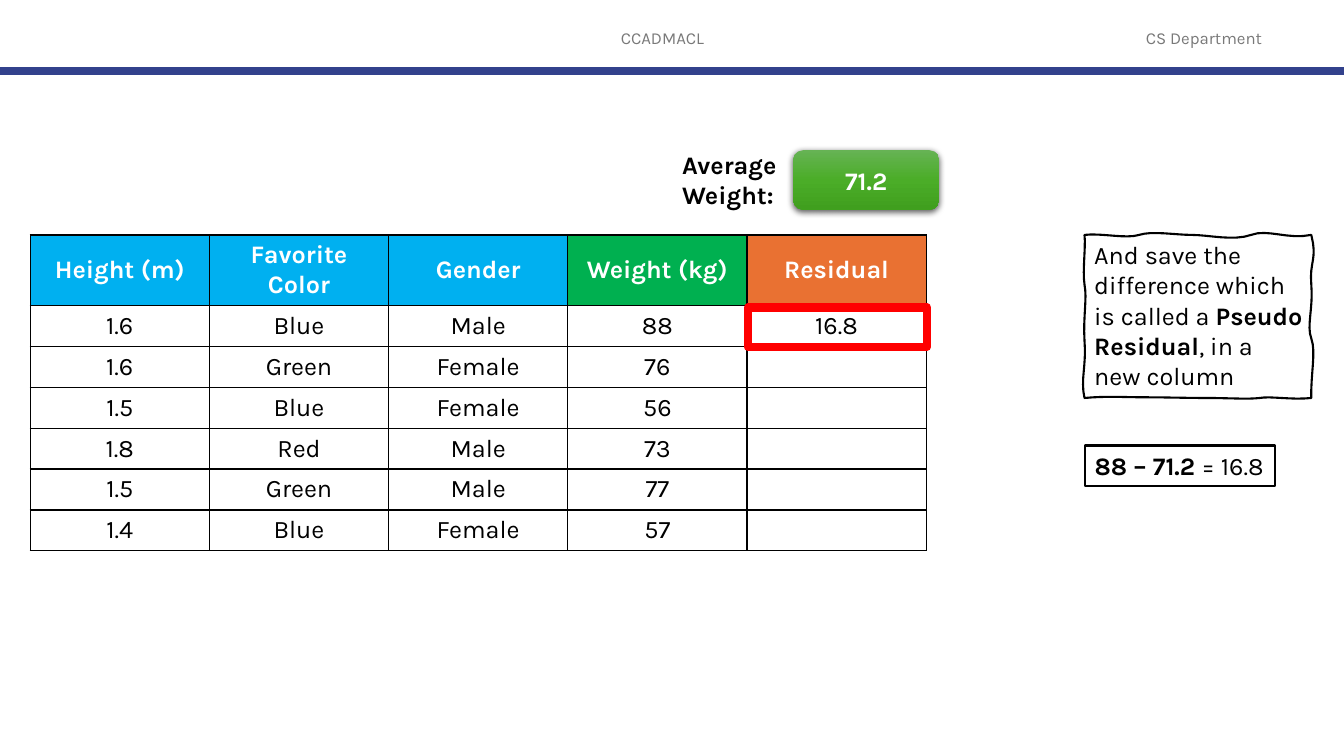
from lxml import etree
from pptx import Presentation
from pptx.dml.color import RGBColor
from pptx.enum.shapes import MSO_CONNECTOR, MSO_SHAPE
from pptx.enum.text import MSO_ANCHOR, PP_ALIGN
from pptx.oxml import parse_xml
from pptx.oxml.ns import qn
from pptx.util import Pt

LEFT, CENTER = PP_ALIGN.LEFT, PP_ALIGN.CENTER
TOP, MIDDLE = MSO_ANCHOR.TOP, MSO_ANCHOR.MIDDLE
STRAIGHT = MSO_CONNECTOR.STRAIGHT
RECTANGLE, ROUNDED = MSO_SHAPE.RECTANGLE, MSO_SHAPE.ROUNDED_RECTANGLE
DRAWING = 'xmlns:a="http://schemas.openxmlformats.org/drawingml/2006/main"'
COLORS = {
    "black": "000000", "white": "FFFFFF", "grey": "797979", "navy": "32418C",
    "blue": "00B0F0", "green": "00B050", "orange": "E97132", "red": "FF0000",
    "badge_top": "66B354", "badge_middle": "4BAD28", "badge_bottom": "409F1E",
}


def color(name):
    return RGBColor.from_string(COLORS[name])


def write(frame, runs, ink="black", size=18, align=LEFT, anchor=TOP):
    frame.word_wrap = True
    frame.vertical_anchor = anchor
    para = frame.paragraphs[0]
    para.alignment = align
    for text, bold in runs:
        span = para.add_run()
        span.text = text
        span.font.name = "Karla"
        span.font.size = Pt(size)
        span.font.bold = bold
        span.font.color.rgb = color(ink)


deck = Presentation()
deck.slide_width, deck.slide_height = Pt(960), Pt(540)
page = deck.slides.add_slide(deck.slide_layouts[6])

for text, left, width, right_margin in [
    ("CCADMACL", 318, 324, 20.6),
    ("CS Department", 786.2, 147.6, 7.2),
]:
    box = page.shapes.add_textbox(Pt(left), Pt(12.4), Pt(width), Pt(28.8))
    box.text_frame.margin_right = Pt(right_margin)
    write(box.text_frame, [(text, False)], "grey", 12, CENTER, MIDDLE)

rule = page.shapes.add_connector(STRAIGHT, Pt(0), Pt(50.6), Pt(960), Pt(50.6))
rule.line.color.rgb = color("navy")
rule.line.width = Pt(6)
etree.SubElement(rule._element.spPr, qn("a:effectLst"))

ROWS = [
    ["Height (m)", "Favorite Color", "Gender", "Weight (kg)", "Residual"],
    ["1.6", "Blue", "Male", "88", "16.8"],
    ["1.6", "Green", "Female", "76", ""],
    ["1.5", "Blue", "Female", "56", ""],
    ["1.8", "Red", "Male", "73", ""],
    ["1.5", "Green", "Male", "77", ""],
    ["1.4", "Blue", "Female", "57", ""],
]
HEADER_FILLS = ["blue", "blue", "blue", "green", "orange"]
table = page.shapes.add_table(
    len(ROWS), len(HEADER_FILLS), Pt(21.6), Pt(167.8), Pt(640), Pt(224.6)
).table
table.first_row = table.horz_banding = False
for column in table.columns:
    column.width = Pt(128)
for row_index, texts in enumerate(ROWS):
    is_header = row_index == 0
    table.rows[row_index].height = Pt(49.4 if is_header else 29.2)
    for column_index, text in enumerate(texts):
        cell = table.cell(row_index, column_index)
        cell.vertical_anchor = MIDDLE
        properties = cell._tc.get_or_add_tcPr()
        for side in "LRTB":
            properties.append(parse_xml(
                f'<a:ln{side} {DRAWING} w="12700"><a:solidFill>'
                f'<a:srgbClr val="{COLORS["black"]}"/></a:solidFill></a:ln{side}>'
            ))
        if is_header:
            cell.fill.solid()
            cell.fill.fore_color.rgb = color(HEADER_FILLS[column_index])
        else:
            cell.fill.background()
        if text:
            ink = "white" if is_header else "black"
            write(cell.text_frame, [(text, is_header)], ink, 18, CENTER, MIDDLE)

NOTE_LEFT, NOTE_TOP = 774.7, 167.8
NOTE_CURVES = [
    [(12, -1.5), (30, 3), (39, 0)],
    [(48, -3), (65, 0), (76.5, 0)],
    [(88.5, 0), (106.5, 4.5), (119, 0)],
    [(130.5, -4.5), (145.5, 3.5), (162, 0)],
    [(166.5, 17.5), (160.5, 19), (162, 35.5)],
    [(163.5, 52), (158.5, 65), (162, 74)],
    [(165.5, 83.5), (161.5, 99.5), (162, 116.5)],
    [(147.5, 118), (133, 115), (125, 116.5)],
    [(116.5, 117.5), (103, 116.5), (88, 116.5)],
    [(72, 116.5), (58.5, 116), (44, 116)],
    [(29.5, 116), (15, 115), (0, 116.5)],
    [(-3, 103), (1.5, 93.5), (0, 75.5)],
    [(-1, 57), (2, 46), (0, 35.5)],
    [(-1.5, 24.5), (1, 9.5), (0, 0)],
]
STEPS = 8
outline = []
start = (0, 0)
for first, second, end in NOTE_CURVES:
    for step in range(1, STEPS + 1):
        t = step / STEPS
        x, y = [
            a * (1 - t) ** 3 + 3 * b * t * (1 - t) ** 2 + 3 * c * t ** 2 * (1 - t) + d * t ** 3
            for a, b, c, d in zip(start, first, second, end)
        ]
        outline.append((Pt(NOTE_LEFT + x), Pt(NOTE_TOP + y)))
    start = end
builder = page.shapes.build_freeform(Pt(NOTE_LEFT), Pt(NOTE_TOP))
builder.add_line_segments(outline, close=True)
note = builder.convert_to_shape()
note.text_frame.margin_top = Pt(4.6)
note.text_frame.margin_left = Pt(8)
write(note.text_frame, [
    ("And save the difference which is called a ", False),
    ("Pseudo Residual", True),
    (", in a new column", False),
])

highlight = page.shapes.add_shape(RECTANGLE, Pt(534.2), Pt(219.6), Pt(128), Pt(28.1))

equation = page.shapes.add_shape(RECTANGLE, Pt(774.7), Pt(318.2), Pt(136.1), Pt(29))
write(equation.text_frame, [("88 – 71.2 ", True), ("= 16.8", False)])

for shape, line_color, line_width in [
    (note, "black", 1.5), (highlight, "red", 6), (equation, "black", 1.5),
]:
    shape.shadow.inherit = False
    shape.fill.background()
    shape.line.color.rgb = color(line_color)
    shape.line.width = Pt(line_width)

badge = page.shapes.add_shape(ROUNDED, Pt(566.6), Pt(107.3), Pt(104.4), Pt(42.5))
badge.line.fill.background()
badge.shadow.inherit = False
stops = "".join(
    f'<a:gs pos="{position}"><a:srgbClr val="{COLORS[name]}"/></a:gs>'
    for position, name in [(0, "badge_top"), (50000, "badge_middle"), (100000, "badge_bottom")]
)
badge_properties = badge._element.spPr
badge_properties.insert(2, parse_xml(
    f'<a:gradFill {DRAWING}><a:gsLst>{stops}</a:gsLst><a:lin ang="5400000"/></a:gradFill>'
))
badge_properties.find(qn("a:effectLst")).append(parse_xml(
    f'<a:outerShdw {DRAWING} blurRad="57150" dist="19050" dir="5400000">'
    f'<a:srgbClr val="{COLORS["black"]}"><a:alpha val="63000"/></a:srgbClr></a:outerShdw>'
))
write(badge.text_frame, [("71.2", True)], "white", 18, CENTER, MIDDLE)

average = page.shapes.add_textbox(Pt(480.2), Pt(103), Pt(93.6), Pt(51.1))
write(average.text_frame, [("Average Weight:", True)])

deck.save("out.pptx")
